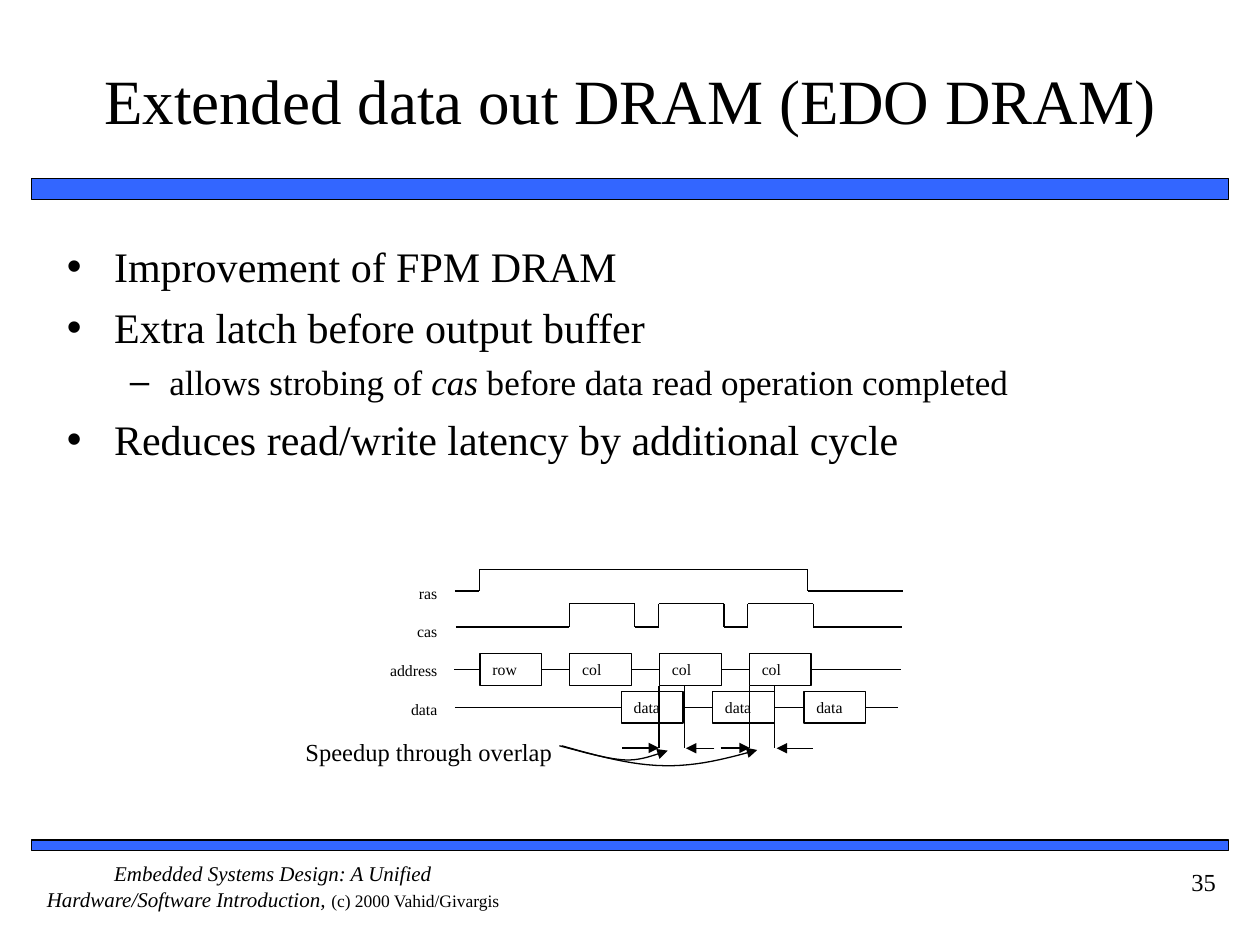
from pptx import Presentation
from pptx.dml.color import RGBColor
from pptx.enum.shapes import MSO_CONNECTOR as CONN, MSO_SHAPE as SHAPE
from pptx.enum.text import MSO_ANCHOR as ANCHOR, MSO_AUTO_SIZE as AUTO, PP_ALIGN as ALIGN
from pptx.oxml.ns import qn
from pptx.util import Pt
from lxml.etree import SubElement

BLACK = RGBColor(0x00, 0x00, 0x00)
WHITE = RGBColor(0xFF, 0xFF, 0xFF)
BLUE = RGBColor(0x33, 0x66, 0xFF)
FONT = "Times New Roman"
THIN = 0.75


def write(p, text, size=9, italic=False, align=None, before=None, level=0):
    """Add a formatted run to a paragraph."""
    r = p.add_run()
    r.text = text
    r.font.name, r.font.size, r.font.italic = FONT, Pt(size), italic
    r.font.color.rgb = BLACK
    p.level = level
    if align is not None:
        p.alignment = align
    if before is not None:
        p.space_before = Pt(before)


def set_frame(sp, anchor=ANCHOR.TOP, side=7.2, edge=3.6, wrap=True):
    """Set margins, wrapping and anchor; return the text frame."""
    tf = sp.text_frame
    tf.word_wrap, tf.auto_size, tf.vertical_anchor = wrap, AUTO.NONE, anchor
    tf.margin_left = tf.margin_right = Pt(side)
    tf.margin_top = tf.margin_bottom = Pt(edge)
    return tf


def place(sp, x, y, w, h):
    sp.left, sp.top, sp.width, sp.height = Pt(x), Pt(y), Pt(w), Pt(h)


def add_box(s, x, y, w, h, fill=WHITE, line=THIN):
    sp = s.shapes.add_shape(SHAPE.RECTANGLE, Pt(x), Pt(y), Pt(w), Pt(h))
    sp.shadow.inherit = False
    sp.fill.solid()
    sp.fill.fore_color.rgb = fill
    if line:
        sp.line.color.rgb, sp.line.width = BLACK, Pt(line)
    else:
        sp.line.fill.background()
    return sp


def style_line(sp, arrow):
    sp.line.color.rgb, sp.line.width = BLACK, Pt(THIN)
    if arrow:
        SubElement(sp.line._get_or_add_ln(), qn("a:tailEnd"), type="triangle")


def add_line(s, start, end, arrow=False):
    sp = s.shapes.add_connector(CONN.STRAIGHT, *(Pt(v) for v in (*start, *end)))
    style_line(sp, arrow)
    SubElement(sp._element.spPr, qn("a:effectLst"))


def add_trace(s, points):
    """Signal waveform through the given corners."""
    for start, end in zip(points, points[1:]):
        add_line(s, start, end)


def add_bus(s, labels, x, pitch, top, left, right):
    """Row of value boxes joined by wires."""
    w, h = 35.3, 18
    for i, label in enumerate(labels):
        box_x = x + i * pitch
        add_line(s, (left, top + h / 2), (box_x, top + h / 2))
        tf = set_frame(add_box(s, box_x, top, w, h), wrap=False)
        write(tf.paragraphs[0], label, align=ALIGN.LEFT)
        left = box_x + w
    add_line(s, (left, top + h / 2), (right, top + h / 2))


def add_curve(s, start, *segments, steps=12):
    """Open arrow along cubic curves, each (control, control, end)."""
    points, p0 = [], start
    for p1, p2, p3 in segments:
        for t in (i / steps for i in range(1, steps + 1)):
            u = 1 - t
            points.append(tuple(
                Pt(u**3 * a + 3 * u * u * t * b + 3 * u * t * t * c + t**3 * d)
                for a, b, c, d in zip(p0, p1, p2, p3)))
        p0 = p3
    path = s.shapes.build_freeform(Pt(start[0]), Pt(start[1]), scale=1.0)
    path.add_line_segments(points, close=False)
    sp = path.convert_to_shape()
    sp.shadow.inherit = False
    sp.fill.background()
    style_line(sp, True)


def add_frame_parts(s):
    # Blue rules, footer and slide number
    add_box(s, 18, 102, 684, 12, BLUE, 1)
    add_box(s, 18, 480, 684, 6, BLUE, 1)
    sp = s.shapes.add_textbox(Pt(18), Pt(492), Pt(276), Pt(36))
    p = set_frame(sp, side=0, edge=0).paragraphs[0]
    write(p, "Embedded Systems Design: A Unified Hardware/Software Introduction, ",
          size=12, italic=True, align=ALIGN.CENTER)
    write(p, "(c) 2000 Vahid/Givargis", size=10)
    sp = s.shapes.add_textbox(Pt(630), Pt(492), Pt(72), Pt(36))
    write(set_frame(sp).paragraphs[0], "35", size=14, align=ALIGN.RIGHT)


def add_content(s):
    # Title and bullet list
    title, body = s.shapes.title, s.placeholders[1]
    place(title, 30, 12, 660, 90)
    write(set_frame(title, ANCHOR.MIDDLE, side=0).paragraphs[0],
          "Extended data out DRAM (EDO DRAM)", size=36, align=ALIGN.CENTER)
    place(body, 31, 134, 660, 175)
    tf = set_frame(body)
    bullets = [
        (0, ["Improvement of FPM DRAM"]),
        (0, ["Extra latch before output buffer"]),
        (1, ["allows strobing of ", "cas", " before data read operation completed"]),
        (0, ["Reduces read/write latency by additional cycle"]),
    ]
    for i, (level, runs) in enumerate(bullets):
        p = tf.add_paragraph() if i else tf.paragraphs[0]
        for text in runs:
            write(p, text, size=20 if level else 24, italic=text == "cas",
                  before=5 if level else 6, level=level)


def add_timing_diagram(s):
    # Signal names
    tf = set_frame(add_box(s, 212.4, 329.8, 44.6, 88.6, line=None))
    for i, name in enumerate(["ras", "cas", "address", "data"]):
        p = tf.add_paragraph() if i else tf.paragraphs[0]
        write(p, name, align=ALIGN.RIGHT, before=11.3 if i else 0)

    # Strobe waveforms
    low, high = 337.7, 325.4
    add_trace(s, [(260, low), (274, low), (274, high),
                  (461.5, high), (461.5, low), (516, low)])
    low, high = 358.3, 345
    cas = [(260.5, low)]
    for rise in (325.3 + 51 * i for i in range(3)):
        fall = rise + 37.4
        cas += [(rise, low), (rise, high), (fall, high), (fall, low)]
    add_trace(s, cas + [(515.5, low)])

    # Address and data values
    add_bus(s, ["row", "col", "col", "col"], 274.3, 51.3, 373.6, 259.5, 514.8)
    add_bus(s, ["data"] * 3, 355, 52.2, 395.2, 260, 513.4)

    # Overlap intervals between address and data
    for x, tail_in, tail_out in [(376.6, 355.7, 408.2), (428.4, 411.8, 464.4)]:
        end = x + 14.4
        for edge in (x, end):
            add_line(s, (edge, 392), (edge, 427.6))
        add_line(s, (tail_in, 427.4), (x, 427.4), arrow=True)
        add_line(s, (tail_out, 427.6), (end + 1, 427.6), arrow=True)

    # Caption pointing at both intervals
    sp = add_box(s, 163.4, 417.6, 163.4, 18, line=None)
    write(set_frame(sp, wrap=False).paragraphs[0], "Speedup through overlap",
          size=14, align=ALIGN.CENTER)
    add_curve(s, (319.7, 426.2),
              ((333.4, 429.8), (347.8, 434), (357.8, 434.3)),
              ((367.9, 434.7), (377.3, 430), (381.6, 429)))
    add_curve(s, (321, 426.2),
              ((341.3, 432), (360.7, 437.3), (379.4, 437.6)),
              ((398.2, 438), (415.4, 433.5), (432.7, 428.6)))


def main():
    prs = Presentation()
    prs.slide_width, prs.slide_height = Pt(720), Pt(540)
    s = prs.slides.add_slide(prs.slide_layouts[1])
    add_frame_parts(s)
    add_content(s)
    add_timing_diagram(s)
    prs.save("out.pptx")


if __name__ == "__main__":
    main()
